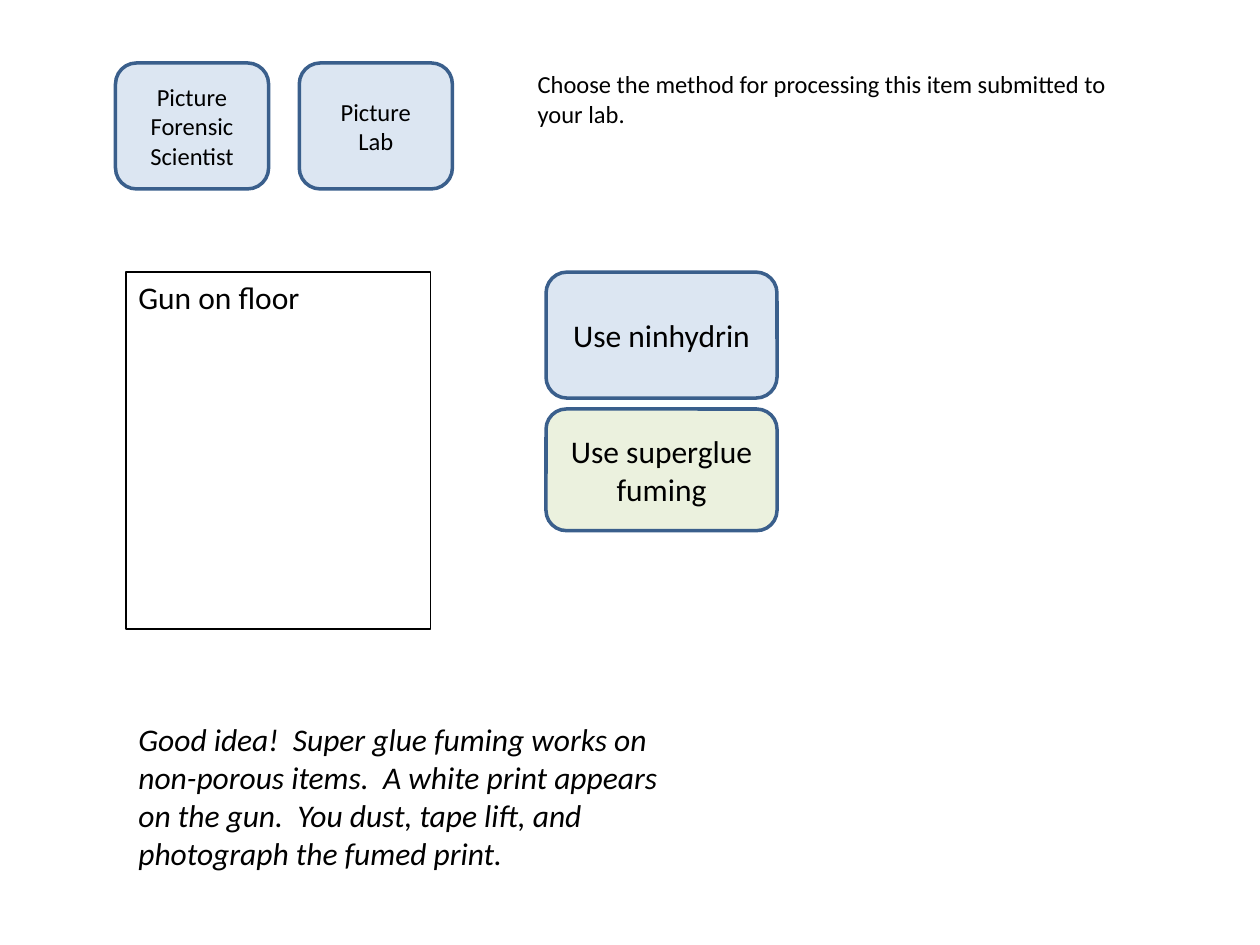
from dataclasses import dataclass

from pptx import Presentation
from pptx.dml.color import RGBColor
from pptx.enum.shapes import MSO_SHAPE
from pptx.enum.text import MSO_ANCHOR, MSO_AUTO_SIZE, PP_ALIGN
from pptx.util import Pt

COLORS = {
    "text": "000000",
    "blue": "DCE6F2",
    "green": "EBF1DE",
    "border": "3A5F8C",
    "frame": "000000",
}
FONT = "Calibri"
SMALL, LARGE = 14, 18


@dataclass
class Box:
    left: float
    top: float
    width: float
    height: float


@dataclass
class Card:
    box: Box
    lines: list[str]
    size: int
    fill: str = "blue"


def rgb(name: str) -> RGBColor:
    return RGBColor.from_string(COLORS[name])


def place(sp, box: Box) -> None:
    sp.left, sp.top = Pt(box.left), Pt(box.top)
    sp.width, sp.height = Pt(box.width), Pt(box.height)


def write(sp, lines: list[str], size: int, align=PP_ALIGN.LEFT,
          anchor=MSO_ANCHOR.TOP, italic: bool = False) -> None:
    tf = sp.text_frame
    tf.word_wrap = True
    tf.auto_size = MSO_AUTO_SIZE.NONE
    tf.vertical_anchor = anchor
    tf.text = "\n".join(lines)
    for p in tf.paragraphs:
        p.alignment = align
        p.font.name, p.font.size = FONT, Pt(size)
        p.font.italic = italic
        p.font.color.rgb = rgb("text")


def add_outlined(s, kind, box: Box, line: str, weight: float):
    sp = s.shapes.add_shape(kind, 0, 0, 0, 0)
    place(sp, box)
    sp.shadow.inherit = False
    sp.fill.background()
    sp.line.color.rgb = rgb(line)
    sp.line.width = Pt(weight)
    return sp


def add_card(s, card: Card) -> None:
    sp = add_outlined(s, MSO_SHAPE.ROUNDED_RECTANGLE, card.box, "border", 2)
    sp.fill.solid()
    sp.fill.fore_color.rgb = rgb(card.fill)
    write(sp, card.lines, card.size, PP_ALIGN.CENTER, MSO_ANCHOR.MIDDLE)


CARDS = [
    # Scene labels
    Card(Box(66, 36, 87.5, 72), ["Picture", "Forensic Scientist"], SMALL),
    Card(Box(171, 36, 87.5, 72), ["Picture", "Lab"], SMALL),
    # Answer choices
    Card(Box(312, 155.5, 132, 72), ["Use ninhydrin"], LARGE),
    Card(Box(312, 233.75, 132, 69.5), ["Use superglue fuming"], LARGE, "green"),
]


def main() -> None:
    prs = Presentation()
    prs.slide_width, prs.slide_height = Pt(720), Pt(540)
    s = prs.slides.add_slide(prs.slide_layouts[5])

    # Question
    title = s.shapes.title
    place(title, Box(300, 36, 348, 41))
    write(title, ["Choose the method for processing this item submitted to your lab."], SMALL)

    for card in CARDS:
        add_card(s, card)

    # Evidence frame
    frame = add_outlined(s, MSO_SHAPE.RECTANGLE, Box(72, 155.5, 174, 204), "frame", 1)
    write(frame, ["Gun on floor"], LARGE)

    # Feedback
    feedback = s.shapes.add_textbox(0, 0, 0, 0)
    place(feedback, Box(72, 408, 312, 94.5))
    write(feedback, [
        "Good idea!  Super glue fuming works on non-porous items.  "
        "A white print appears on the gun.  You dust, tape lift, and "
        "photograph the fumed print."
    ], LARGE, italic=True)

    prs.save("out.pptx")


if __name__ == "__main__":
    main()
